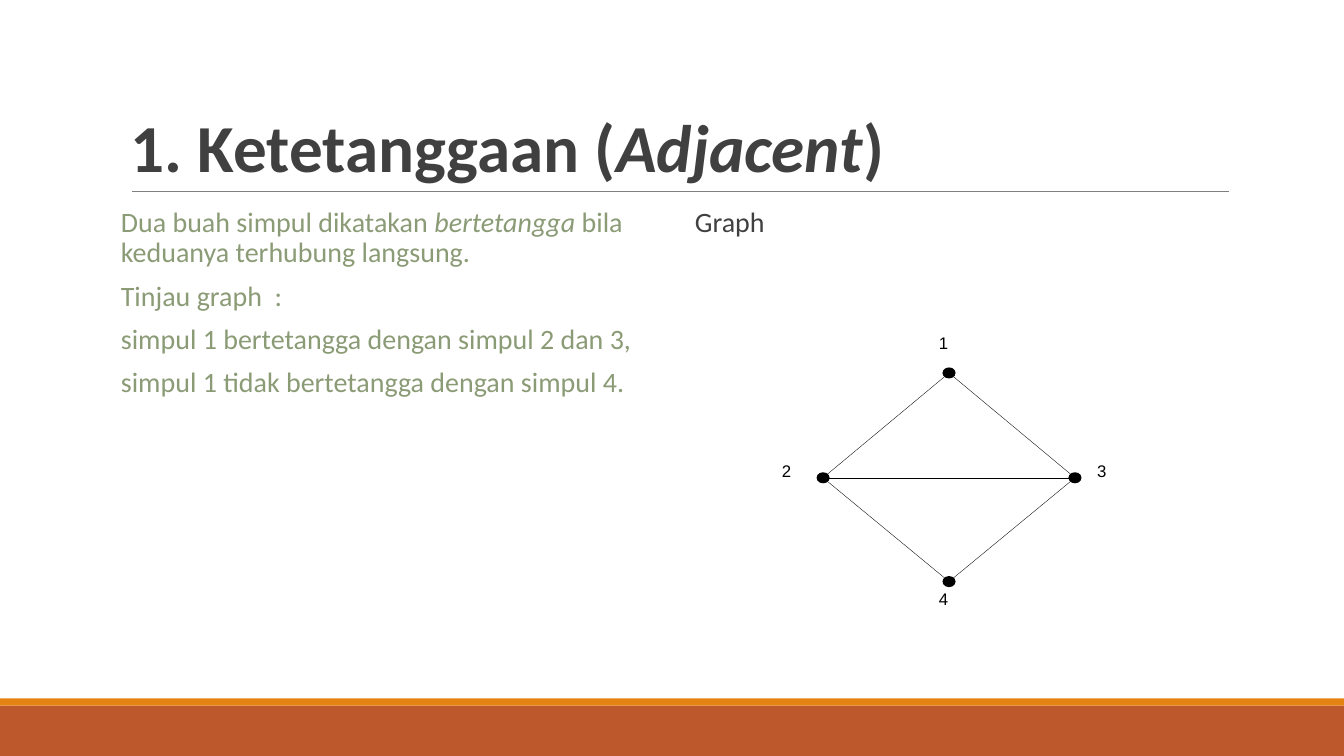
from dataclasses import dataclass

from lxml import etree
from pptx import Presentation
from pptx.dml.color import RGBColor
from pptx.enum.shapes import MSO_CONNECTOR, MSO_SHAPE
from pptx.enum.text import MSO_ANCHOR
from pptx.oxml.ns import qn
from pptx.slide import Slide
from pptx.util import Inches, Pt

RECT = MSO_SHAPE.RECTANGLE
OVAL = MSO_SHAPE.OVAL
LINE = MSO_CONNECTOR.STRAIGHT
TOP = MSO_ANCHOR.TOP
BOTTOM = MSO_ANCHOR.BOTTOM

RUST = RGBColor(0xBD, 0x58, 0x2C)
ORANGE = RGBColor(0xE4, 0x83, 0x12)
GRAY = RGBColor(0x7F, 0x7F, 0x7F)
DARK = RGBColor(0x40, 0x40, 0x40)
GREEN = RGBColor(0x8B, 0x9B, 0x76)
BLACK = RGBColor(0, 0, 0)

WIDE, HIGH = 13.34, 7.5
DOT_W, DOT_H = 0.13, 0.11


@dataclass(frozen=True)
class Box:
    left: float
    top: float
    width: float
    height: float


@dataclass(frozen=True)
class Style:
    font: str
    size: float
    color: RGBColor
    bold: bool = False
    leading: float = 1.0
    before: float = 0
    inset: tuple[float, float] = (0, 0)
    anchor: MSO_ANCHOR = TOP
    wrap: bool = True


@dataclass(frozen=True)
class Node:
    name: str
    x: float
    y: float
    tag_x: float
    tag_y: float


@dataclass(frozen=True)
class Part:
    text: str
    italic: bool = False


TITLE = Style("Calibri", 48, DARK, True, 0.85, 0, (0.1, 0.05), BOTTOM)
BODY = Style("Calibri", 20, GREEN, False, 0.9, 9.2, (0, 0.05))
HEAD = Style("Calibri", 20, DARK, False, 0.9, 12, (0.1, 0.05))
TAG = Style("Arial", 12, BLACK, wrap=False)

HEADING = [[Part("1. Ketetanggaan ("), Part("Adjacent", True), Part(")")]]
NOTES = [
    [
        Part("Dua buah simpul dikatakan "),
        Part("bertetangga ", True),
        Part("bila keduanya terhubung langsung."),
    ],
    [Part("Tinjau graph  :")],
    [Part("simpul 1 bertetangga dengan simpul 2 dan 3,")],
    [Part("simpul 1 tidak bertetangga dengan simpul 4.")],
]

NODES = {
    node.name: node
    for node in (
        Node("1", 9.42, 3.7, 9.32, 3.3),
        Node("2", 8.17, 4.74, 7.76, 4.57),
        Node("3", 10.67, 4.74, 10.89, 4.57),
        Node("4", 9.42, 5.77, 9.32, 5.84),
    )
}
EDGES = ("12", "24", "13", "34", "23")


def add_block(slide: Slide, kind: MSO_SHAPE, box: Box, color: RGBColor) -> None:
    shape = slide.shapes.add_shape(
        kind, Inches(box.left), Inches(box.top), Inches(box.width), Inches(box.height)
    )
    shape.shadow.inherit = False
    shape.fill.solid()
    shape.fill.fore_color.rgb = color
    shape.line.fill.background()


def add_line(
    slide: Slide, x1: float, y1: float, x2: float, y2: float, color: RGBColor, width: float
) -> None:
    line = slide.shapes.add_connector(LINE, Inches(x1), Inches(y1), Inches(x2), Inches(y2))
    line.line.color.rgb = color
    line.line.width = Pt(width)
    etree.SubElement(line._element.spPr, qn("a:effectLst"))


def add_text(slide: Slide, box: Box, rows: list[list[Part]], style: Style) -> None:
    shape = slide.shapes.add_textbox(
        Inches(box.left), Inches(box.top), Inches(box.width), Inches(box.height)
    )
    frame = shape.text_frame
    frame.word_wrap = style.wrap
    frame.vertical_anchor = style.anchor
    frame.margin_left = frame.margin_right = Inches(style.inset[0])
    frame.margin_top = frame.margin_bottom = Inches(style.inset[1])
    for index, row in enumerate(rows):
        para = frame.add_paragraph() if index else frame.paragraphs[0]
        para.line_spacing = style.leading
        para.space_before = Pt(style.before)
        for part in row:
            run = para.add_run()
            run.text = part.text
            run.font.name = style.font
            run.font.size = Pt(style.size)
            run.font.bold = style.bold
            run.font.italic = part.italic
            run.font.color.rgb = style.color


def add_graph(slide: Slide) -> None:
    for node in NODES.values():
        dot = Box(node.x - DOT_W / 2, node.y - DOT_H / 2, DOT_W, DOT_H)
        add_block(slide, OVAL, dot, BLACK)
        add_text(slide, Box(node.tag_x, node.tag_y, 0.09, 0.2), [[Part(node.name)]], TAG)
    for start, end in EDGES:
        a, b = NODES[start], NODES[end]
        add_line(slide, a.x, a.y, b.x, b.y, BLACK, 0.25)


def main() -> None:
    deck = Presentation()
    deck.slide_width, deck.slide_height = Inches(WIDE), Inches(HIGH)
    slide = deck.slides.add_slide(deck.slide_layouts[6])
    add_block(slide, RECT, Box(0, 7, WIDE, 0.5), RUST)
    add_block(slide, RECT, Box(0, 6.93, WIDE, 0.07), ORANGE)
    add_line(slide, 1.31, 1.9, 12.2, 1.9, GRAY, 0.5)
    add_text(slide, Box(1.2, 0.31, 11, 1.59), HEADING, TITLE)
    add_text(slide, Box(1.2, 2.02, 5.4, 4.4), NOTES, BODY)
    add_text(slide, Box(6.8, 2.02, 5.4, 4.4), [[Part("Graph")]], HEAD)
    add_graph(slide)
    deck.save("out.pptx")


if __name__ == "__main__":
    main()
